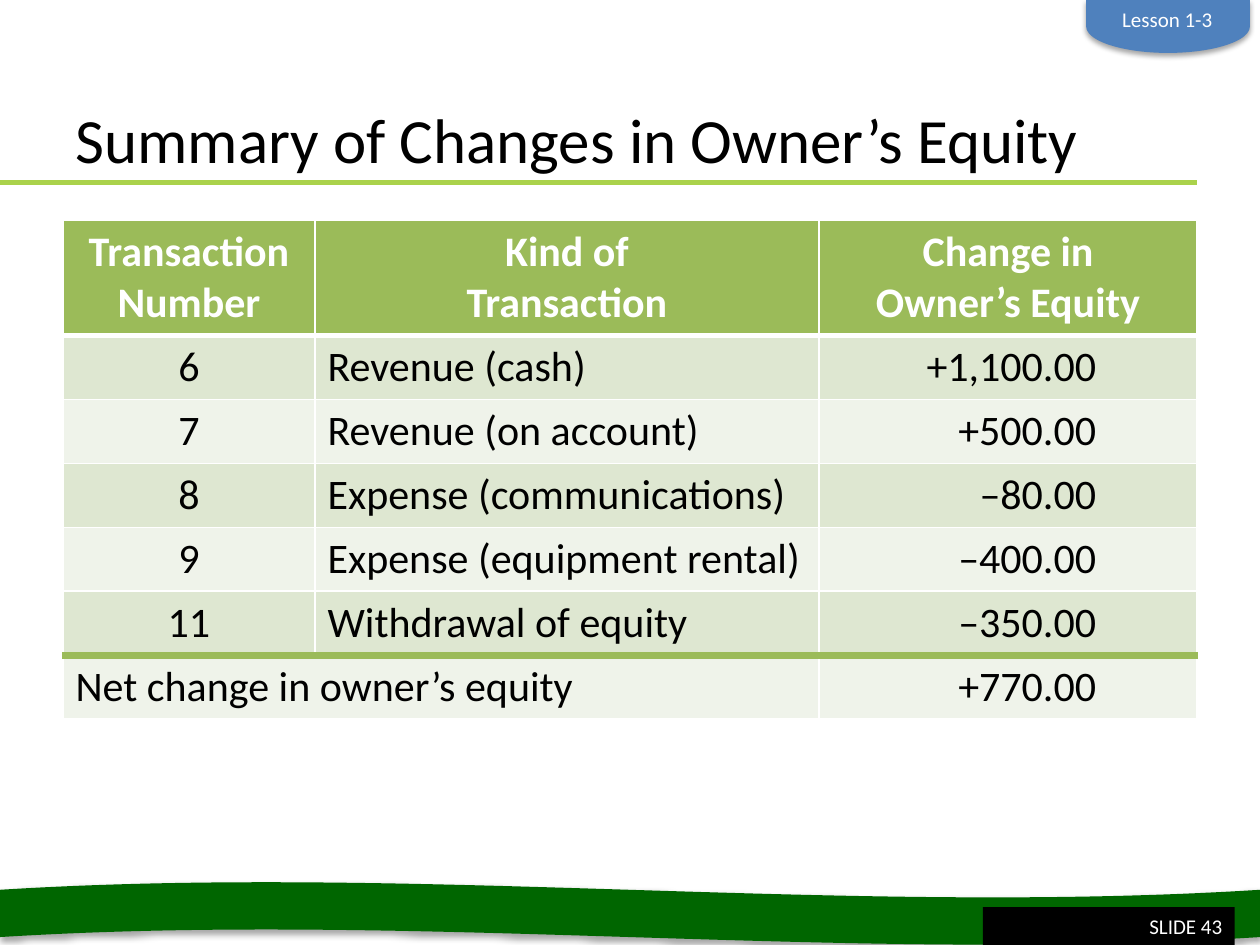
from lxml import etree
from pptx import Presentation
from pptx.dml.color import RGBColor
from pptx.enum import shapes, text
from pptx.oxml import parse_xml
from pptx.oxml.ns import nsdecls, qn
from pptx.util import Inches, Pt

GREEN, WHITE, BLACK = "9BBB59", "FFFFFF", "000000"
BANDS = ("DEE7D1", "EFF3EA")
LEFT, CENTER, RIGHT = text.PP_ALIGN.LEFT, text.PP_ALIGN.CENTER, text.PP_ALIGN.RIGHT

HEADERS = ("Transaction\nNumber", "Kind of\nTransaction", "Change in\nOwner’s Equity")
ROWS = (
    ("6", "Revenue (cash)", "+1,100.00"),
    ("7", "Revenue (on account)", "+500.00"),
    ("8", "Expense (communications)", "–80.00"),
    ("9", "Expense (equipment rental)", "–400.00"),
    ("11", "Withdrawal of equity", "–350.00"),
    ("Net change in owner’s equity", "", "+770.00"),
)


def rgb(value):
    return RGBColor.from_string(value)


def write(tf, words, size=12, color=WHITE, bold=False, align=LEFT):
    p = tf.paragraphs[0]
    p.text = words
    p.alignment = align
    for r in p.runs:
        r.font.name = "Calibri"
        r.font.size = Pt(size)
        r.font.bold = bold
        r.font.color.rgb = rgb(color)


def add_shape(s, kind, box, color, shadow=False):
    sp = s.shapes.add_shape(kind, *map(Inches, box))
    sp.fill.solid()
    sp.fill.fore_color.rgb = rgb(color)
    sp.line.fill.background()
    sp.shadow.inherit = False
    if shadow:
        effects = sp._element.spPr.find(qn("a:effectLst"))
        effects.append(parse_xml(
            f'<a:outerShdw {nsdecls("a")} blurRad="{Pt(3.1)}" dist="{Pt(1.8)}" '
            'dir="5400000" rotWithShape="0"><a:srgbClr val="000000">'
            '<a:alpha val="35000"/></a:srgbClr></a:outerShdw>'))
    return sp


def add_title(s, x, y, w, h):
    title = s.shapes.title
    title.left, title.top, title.width, title.height = map(Inches, (x, y, w, h))
    tf = title.text_frame
    tf.auto_size = text.MSO_AUTO_SIZE.NONE
    tf.vertical_anchor = text.MSO_ANCHOR.BOTTOM
    write(tf, "Summary of Changes in Owner’s Equity", size=36, color=BLACK)
    rule = s.shapes.add_connector(shapes.MSO_CONNECTOR.STRAIGHT, 0, Inches(y + h),
                                  Inches(x + w + 0.5), Inches(y + h))
    rule.line.color.rgb = rgb("AAD24B")
    rule.line.width = Pt(3)
    etree.SubElement(rule._element.spPr, qn("a:effectLst"))


def set_borders(cell, top=(WHITE, 1), bottom=(WHITE, 1)):
    tcPr = cell._tc.get_or_add_tcPr()
    sides = (("lnL", (WHITE, 1)), ("lnR", (WHITE, 1)), ("lnT", top), ("lnB", bottom))
    for i, (tag, (color, width)) in enumerate(sides):
        tcPr.insert(i, parse_xml(
            f'<a:{tag} {nsdecls("a")} w="{Pt(width)}"><a:solidFill>'
            f'<a:srgbClr val="{color}"/></a:solidFill></a:{tag}>'))


def add_equity_table(s, x, y, w, h):
    rows = (HEADERS,) + ROWS
    last = len(rows) - 1
    table = s.shapes.add_table(len(rows), 3, *map(Inches, (x, y, w, h))).table
    for column, share in zip(table.columns, (2, 4, 3)):
        column.width = Inches(w * share / 9)
    for i, row in enumerate(table.rows):
        row.height = Inches(0.5 if i else h - 0.5 * last)
    table.cell(last, 0).merge(table.cell(last, 1))

    total_rule = (GREEN, 4.5)
    edges = {0: {"bottom": (WHITE, 3)}, 1: {"top": (WHITE, 3)},
             last - 1: {"bottom": total_rule}, last: {"top": total_rule}}
    for i, values in enumerate(rows):
        for j, value in enumerate(values):
            cell = table.cell(i, j)
            cell.fill.solid()
            cell.fill.fore_color.rgb = rgb(BANDS[(i - 1) % 2] if i else GREEN)
            set_borders(cell, **edges.get(i, {}))
            if i == 0:
                write(cell.text_frame, value, size=24, bold=True, align=CENTER)
                continue
            align = LEFT if i == last and j == 0 else (CENTER, LEFT, RIGHT)[j]
            if j == 2:
                cell.margin_right = Inches(0.8)
            if value:
                write(cell.text_frame, value, size=24, color=BLACK, align=align)


def add_lesson_tab(s, x, y, w, h):
    """Half-round tab: a delay shape turned a quarter about its centre."""
    cx, cy = x + w / 2, y + h / 2
    tab = add_shape(s, shapes.MSO_SHAPE.FLOWCHART_DELAY,
                    (cx - h / 2, cy - w / 2, h, w), "4F81BD", shadow=True)
    tab.rotation = 90
    label = s.shapes.add_textbox(*map(Inches, (cx - 0.47, 0, 0.93, 0.3)))
    label.text_frame.word_wrap = False
    write(label.text_frame, "Lesson 1-3", align=CENTER)


def add_footer(s, x, y, w, h):
    add_shape(s, shapes.MSO_SHAPE.WAVE, (x, y, w, h), "006600", shadow=True)
    sp = add_shape(s, shapes.MSO_SHAPE.RECTANGLE,
                   (x + w - 2.2, y + h - 0.3, 2, 0.3), BLACK)
    sp.text_frame.vertical_anchor = text.MSO_ANCHOR.MIDDLE
    write(sp.text_frame, "SLIDE 43", align=RIGHT)


def main():
    prs = Presentation()
    prs.slide_width, prs.slide_height = Inches(10), Inches(7.5)
    s = prs.slides.add_slide(prs.slide_layouts[5])
    add_title(s, 0.5, 0.2, 8.5, 1.25)
    add_equity_table(s, 0.5, 1.75, 9, 3.9)
    add_lesson_tab(s, 8.62, 0, 1.3, 0.42)
    add_footer(s, 0, 7, 10, 0.5)
    prs.save("out.pptx")


if __name__ == "__main__":
    main()
